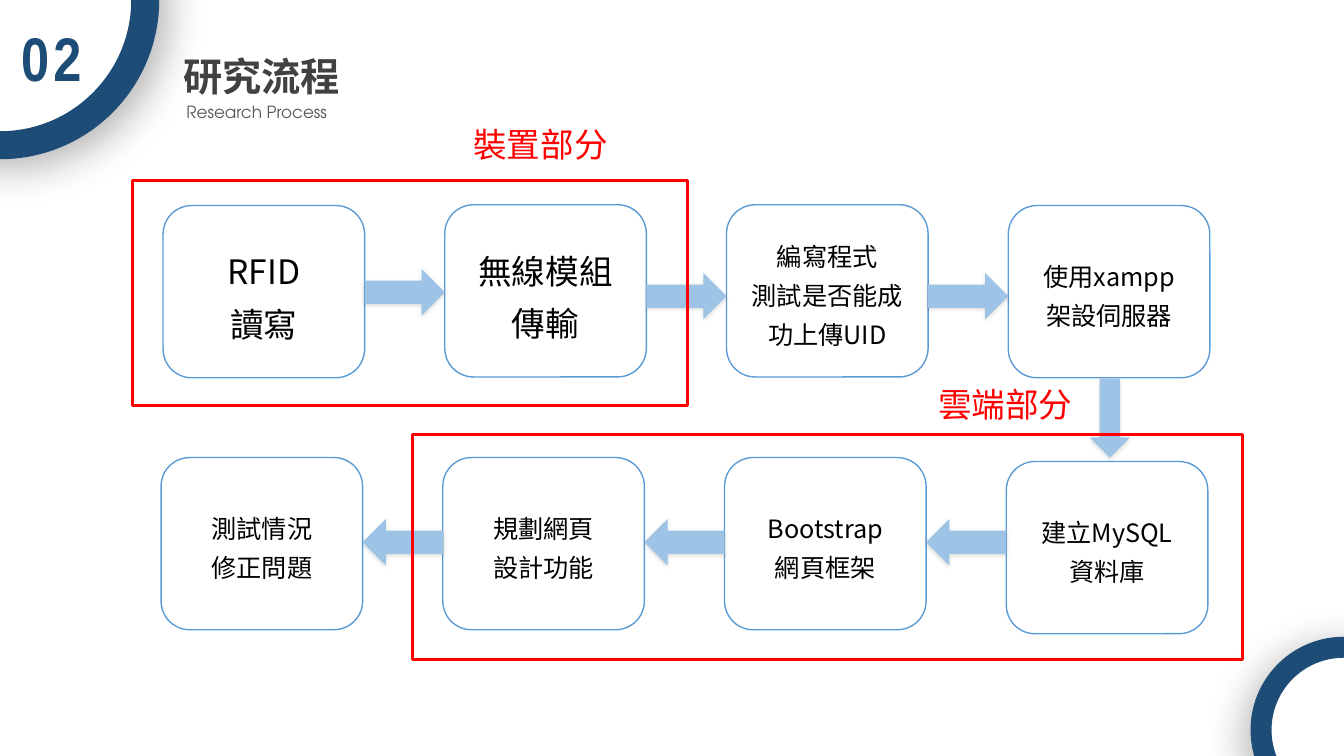
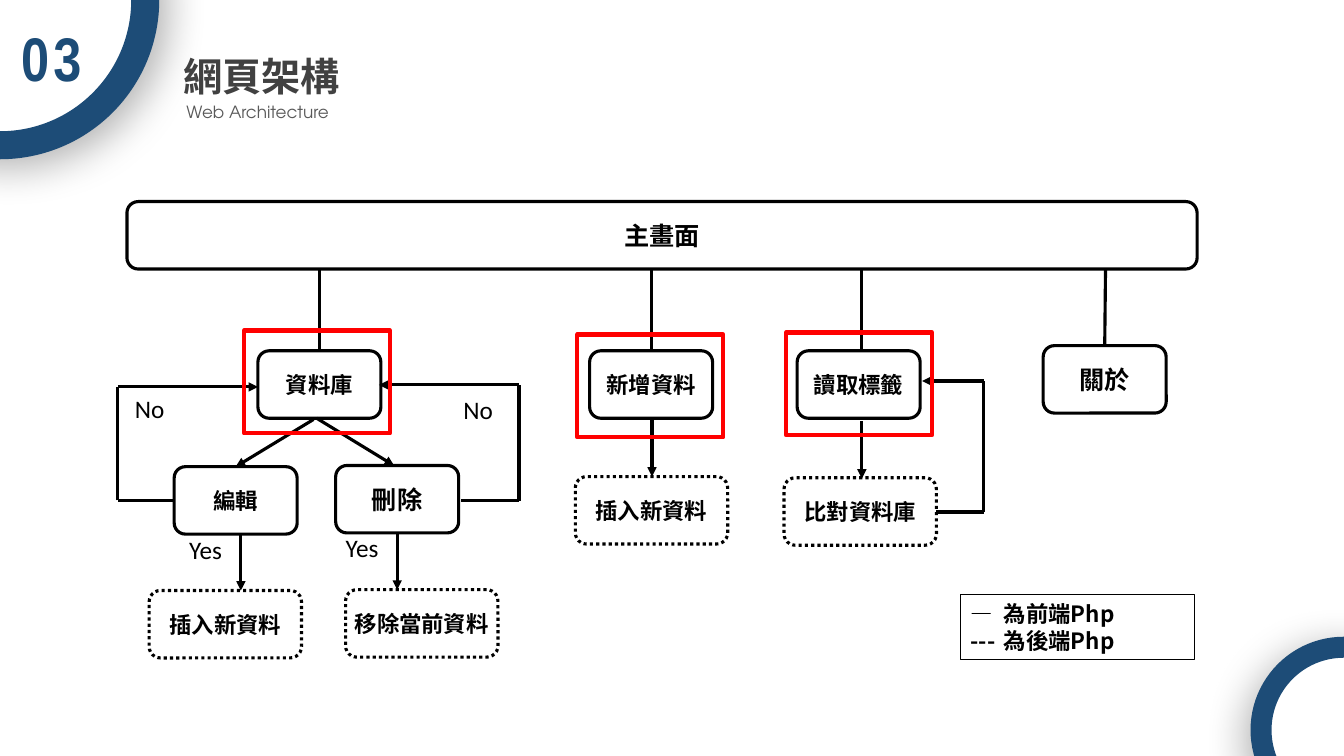
from lxml.etree import SubElement
from pptx import Presentation
from pptx.dml.color import RGBColor
from pptx.enum.dml import MSO_LINE as Dash
from pptx.enum.shapes import MSO_CONNECTOR as Link, MSO_SHAPE as Kind
from pptx.enum.text import MSO_ANCHOR as Anchor, MSO_AUTO_SIZE as Auto, PP_ALIGN as Align
from pptx.oxml.ns import qn
from pptx.util import Cm, Pt

NAVY = RGBColor(0x1D, 0x4C, 0x77)
BLUE = RGBColor(0x5B, 0x9B, 0xD5)
SKY = RGBColor(0x9D, 0xC3, 0xE6)
RED = RGBColor(0xFF, 0, 0)
BLACK = RGBColor(0, 0, 0)
WHITE = RGBColor(0xFF, 0xFF, 0xFF)
DARK = RGBColor(0x41, 0x41, 0x41)
GREY = RGBColor(0x59, 0x59, 0x59)
SANS = "Noto Sans CJK SC"

# Research process: (left of row, arrow kind, boxes, arrow tops)
# box: (top, text size, lines)
STEP, BOX_W, BOX_H, ARROW_H = 7.1, 5.08, 4.34, 1.17
ROWS = [
    (4.11, Kind.RIGHT_ARROW, [
        (5.18, 24, ["RFID", "讀寫"]),
        (5.16, 24, ["無線模組", "傳輸"]),
        (5.16, 18, ["編寫程式", "測試是否能成功上傳UID"]),
        (5.18, 18, ["使用xampp", "架設伺服器"]),
    ], [6.78, 6.88, 6.88]),
    (4.06, Kind.LEFT_ARROW, [
        (11.53, 18, ["測試情況", "修正問題"]),
        (11.53, 18, ["規劃網頁", "設計功能"]),
        (11.53, 18, ["Bootstrap", "網頁框架"]),
        (11.63, 18, ["建立MySQL", "資料庫"]),
    ], [13.08, 13.08, 13.08]),
]
TURN = (27.46, 9.55, 1.02, 1.98)
# (frame, label, label place)
PARTS = [
    ((3.35, 4.55, 13.97, 5.66), "裝置部分", (11.68, 3, 6.2, 1.27)),
    ((10.39, 10.95, 20.93, 5.66), "雲端部分", (23.39, 9.55, 9.22, 1.27)),
]

# Web architecture: (text, left, top, text size)
NODE_W, BACK_W, NODE_H = 3.1, 3.84, 1.7
MAIN = ("主畫面", 3.2, 5.08, 18)
MAIN_W = 26.97
FRONT = [
    ("資料庫", 6.5, 8.84, 16),
    ("新增資料", 14.86, 8.84, 16),
    ("讀取標籤", 20.09, 8.84, 16),
    ("關於", 26.29, 8.71, 18),
    ("編輯", 4.39, 11.76, 16),
    ("刪除", 8.46, 11.73, 18),
]
BACK = [
    ("插入新資料", 3.76, 14.88, 16),
    ("移除當前資料", 8.71, 14.86, 16),
    ("插入新資料", 14.5, 12.01, 16),
    ("比對資料庫", 19.76, 12.04, 16),
]
STEMS = [
    [(8.05, 8.81), (8.05, 6.8)],
    [(16.41, 8.81), (16.41, 6.8)],
    [(21.72, 8.81), (21.72, 6.8)],
    [(27.84, 8.71), (27.86, 6.8)],
]
FLOWS = [
    [(4.39, 12.61), (2.97, 12.61), (2.97, 9.75), (6.5, 9.75)],
    [(11.63, 12.62), (13.08, 12.62), (13.08, 9.7), (9.55, 9.7)],
    [(23.6, 12.9), (24.79, 12.9), (24.79, 9.6), (23.24, 9.6)],
    [(7.9, 10.57), (5.94, 11.76)],
    [(7.98, 10.54), (9.93, 11.73)],
    [(6.07, 13.44), (6.07, 14.88)],
    [(10.01, 13.41), (10.01, 14.86)],
    [(16.43, 10.57), (16.43, 12.01)],
    [(21.72, 10.62), (21.72, 12.06)],
]
NOTE_SIZE = (1.6, 1.02)
NOTES = [
    ("Yes", 4.52, 13.34),
    ("Yes", 8.46, 13.28),
    ("No", 3.15, 9.78),
    ("No", 11.43, 9.8),
]
LEGEND = ["—\t為前端Php", "---\t為後端Php"]
LEGEND_AT = (24.21, 14.99, 5.89, 1.63)
MARKS = [(6.15, 8.33), (14.55, 8.43), (19.81, 8.38)]
MARK_SIZE = (3.68, 2.59)


def write(shape, lines, size, color=BLACK, font=SANS, bold=False, align=Align.LEFT,
          anchor=Anchor.TOP, wrap=True, grow=False, lead=None, track=0, tab=None, inset=None):
    frame = shape.text_frame
    frame.word_wrap = wrap
    frame.vertical_anchor = anchor
    frame.auto_size = Auto.SHAPE_TO_FIT_TEXT if grow else Auto.NONE
    if inset:
        frame.margin_left = frame.margin_right = Cm(inset[0])
        frame.margin_top = frame.margin_bottom = Cm(inset[1])
    for i, line in enumerate(lines):
        para = frame.add_paragraph() if i else frame.paragraphs[0]
        if tab:
            stops = SubElement(para._p.get_or_add_pPr(), qn("a:tabLst"))
            SubElement(stops, qn("a:tab"), pos=str(Cm(tab)), algn="l")
        para.alignment = align
        if lead:
            para.line_spacing = lead
        run = para.add_run()
        run.text = line
        face = run.font
        face.size, face.bold, face.name = Pt(size), bold, font
        face.color.rgb = color
        props = run._r.get_or_add_rPr()
        SubElement(props, qn("a:ea"), typeface=SANS)
        if track:
            props.set("spc", str(track * 100))


def label(slide, at, text, size, **style):
    box = slide.shapes.add_textbox(*map(Cm, at))
    write(box, [text], size, grow=True, **style)


def draw(slide, kind, at, fill=None, line=None, width=1, dash=None, shade=None):
    """Add a preset shape; shade is (opacity %, blur pt, distance pt, degrees)."""
    shape = slide.shapes.add_shape(kind, *map(Cm, at))
    shape.shadow.inherit = False
    if fill is None:
        shape.fill.background()
    else:
        shape.fill.solid()
        shape.fill.fore_color.rgb = fill
    if line is None:
        shape.line.fill.background()
    else:
        shape.line.color.rgb = line
        shape.line.width = Pt(width)
        if dash:
            shape.line.dash_style = dash
    if shade:
        alpha, blur, dist, angle = shade
        effects = shape._element.spPr.find(qn("a:effectLst"))
        outer = SubElement(effects, qn("a:outerShdw"), blurRad=str(Pt(blur)), dist=str(Pt(dist)),
                           dir=str(angle * 60000), algn="ctr", rotWithShape="0")
        tint = SubElement(outer, qn("a:srgbClr"), val=str(BLACK))
        SubElement(tint, qn("a:alpha"), val=str(alpha * 1000))
    return shape


def trace(slide, points, head=False):
    """Join points with straight lines, with an arrowhead on the last one if asked."""
    for start, end in zip(points, points[1:]):
        line = slide.shapes.add_connector(Link.STRAIGHT, *map(Cm, start + end))
        line.line.color.rgb = BLACK
        line.line.width = Pt(2.25)
        if head and end == points[-1]:
            SubElement(line.line._get_or_add_ln(), qn("a:tailEnd"), type="triangle")
        SubElement(line._element.spPr, qn("a:effectLst"))


def start(deck, number, title, sub):
    """Add a slide with the shared corner rings, number and titles."""
    slide = deck.slides.add_slide(deck.slide_layouts[6])
    draw(slide, Kind.OVAL, (-3.66, -3.66, 7.32, 7.32), WHITE, NAVY, 20, shade=(30, 30, 8, 45))
    draw(slide, Kind.OVAL, (31.78, 16.31, 4.17, 4.17), WHITE, NAVY, 15, shade=(30, 30, 8, 125))
    label(slide, (0, 0.38, 2.59, 2.13), number, 44, color=NAVY, font="Arial Narrow",
          bold=True, align=Align.CENTER, track=3)
    label(slide, (4.45, 2.44, 16.61, 0.76), sub, 12, color=GREY, font="TeX Gyre Adventor")
    label(slide, (4.37, 1.19, 4.5, 1.45), title, 28, color=DARK, font="Calibri",
          bold=True, wrap=False)
    return slide


def process(deck):
    slide = start(deck, "02", "研究流程", "Research Process")
    for left, kind, boxes, tops in ROWS:
        for i, (top, size, lines) in enumerate(boxes):
            box = draw(slide, Kind.ROUNDED_RECTANGLE, (left + i * STEP, top, BOX_W, BOX_H),
                       WHITE, BLUE)
            write(box, lines, size, align=Align.CENTER, anchor=Anchor.MIDDLE, lead=1.3)
    arrows = [(kind, (left + i * STEP + BOX_W, top, STEP - BOX_W, ARROW_H))
              for left, kind, _, tops in ROWS for i, top in enumerate(tops)]
    for kind, at in arrows + [(Kind.DOWN_ARROW, TURN)]:
        draw(slide, kind, at, SKY, shade=(15, 3, 1, 90))
    for frame, text, at in PARTS:
        draw(slide, Kind.RECTANGLE, frame, line=RED, width=2.25)
        label(slide, at, text, 24, color=RED)


def web(deck):
    slide = start(deck, "03", "網頁架構", "Web Architecture")
    groups = [([MAIN], MAIN_W, None), (FRONT, NODE_W, None), (BACK, BACK_W, Dash.ROUND_DOT)]
    for nodes, width, dash in groups:
        for text, left, top, size in nodes:
            node = draw(slide, Kind.ROUNDED_RECTANGLE, (left, top, width, NODE_H),
                        WHITE, BLACK, 2.25, dash)
            write(node, [text], size, bold=True, align=Align.CENTER, anchor=Anchor.MIDDLE,
                  inset=(0.1, 0.05))
    for points in STEMS:
        trace(slide, points)
    for points in FLOWS:
        trace(slide, points, head=True)
    for text, *place in NOTES:
        label(slide, (*place, *NOTE_SIZE), text, 18, font="Calibri")
    key = draw(slide, Kind.RECTANGLE, LEGEND_AT, WHITE, BLACK, 0.75)
    write(key, LEGEND, 16, bold=True, grow=True, tab=0.84)
    for place in MARKS:
        draw(slide, Kind.RECTANGLE, place + MARK_SIZE, line=RED, width=3)


def main():
    deck = Presentation()
    deck.slide_width, deck.slide_height = Cm(33.87), Cm(19.05)
    process(deck)
    web(deck)
    deck.save("out.pptx")


if __name__ == "__main__":
    main()
